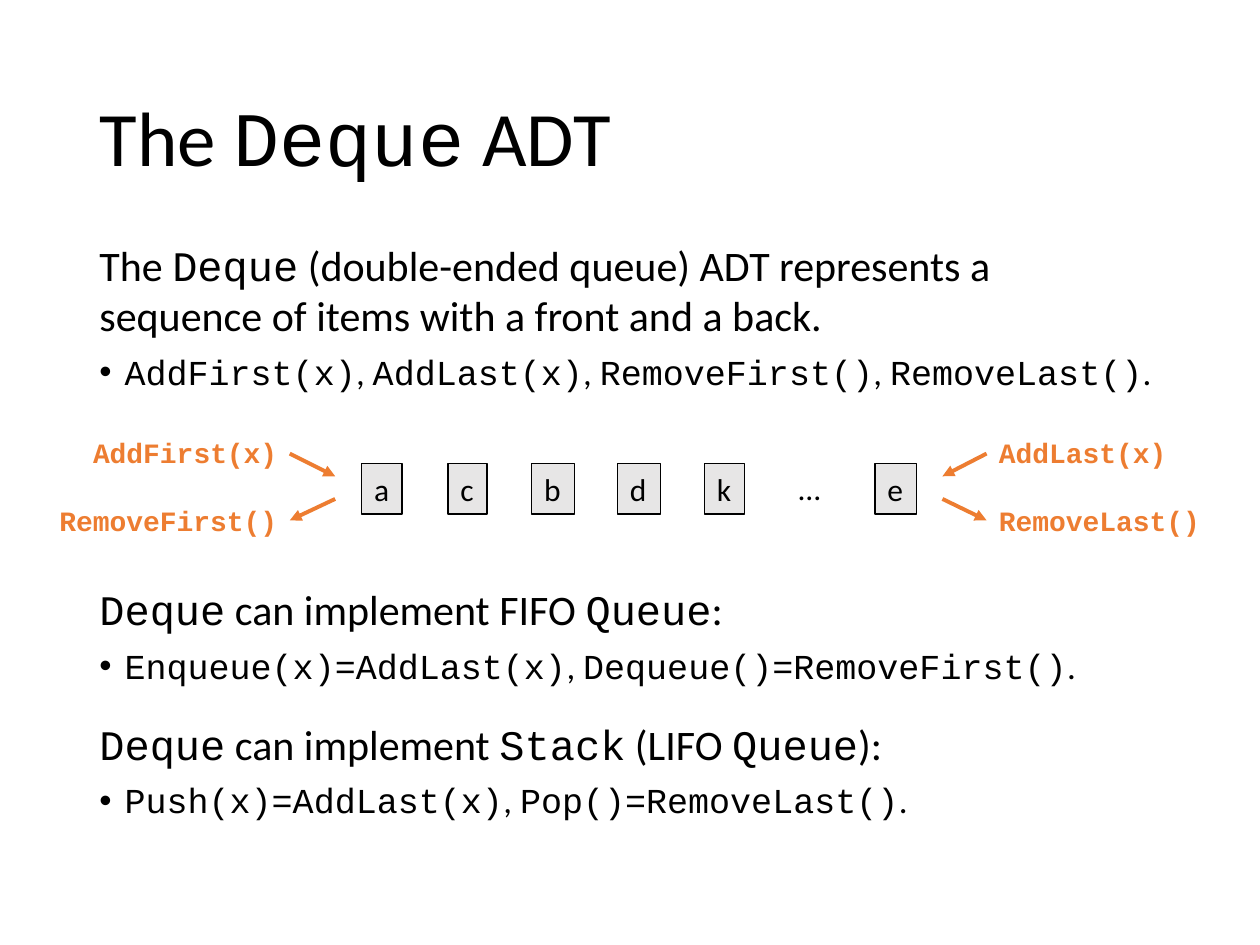
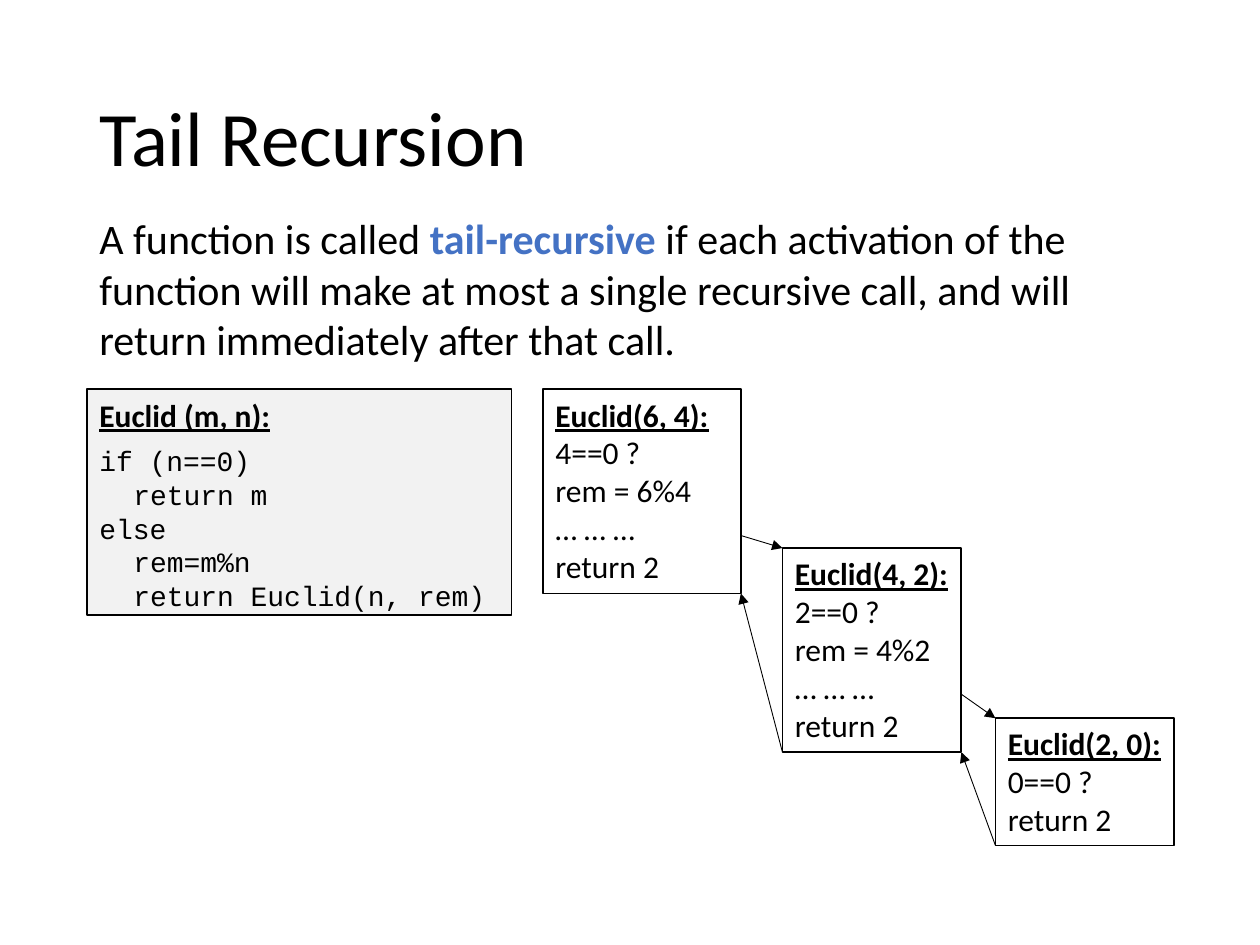
"""Build two lecture slides: the Deque ADT and tail recursion."""
from itertools import pairwise

from lxml.etree import SubElement
from pptx import Presentation
from pptx.dml.color import RGBColor
from pptx.enum.shapes import MSO_CONNECTOR, MSO_SHAPE
from pptx.enum.text import MSO_ANCHOR, MSO_AUTO_SIZE, PP_ALIGN
from pptx.oxml.ns import qn
from pptx.util import Inches, Pt

COLORS = {"ink": "000000", "cell": "E7E6E6", "panel": "F2F2F2",
          "white": "FFFFFF", "orange": "ED7D31", "blue": "4472C4"}
BODY, CODE = "Calibri", "Courier New"
LEFT, WIDE = 0.69, 8.62


def color(name):
    return RGBColor.from_string(COLORS[name])


def style(run, size, font=BODY, ink="ink", bold=False, under=False):
    run.font.size = Pt(size)
    run.font.name = font
    run.font.color.rgb = color(ink)
    run.font.bold = bold
    run.font.underline = under


def write(para, text, size, mark=None, **base):
    """Fill a paragraph; pieces between backticks take the mark style."""
    para.alignment = PP_ALIGN.LEFT
    for i, piece in enumerate(text.split("`")):
        if piece:
            run = para.add_run()
            run.text = piece
            style(run, size, **(mark if i % 2 else base))


def indent(para, left, first=0, bullet=None):
    props = para._p.get_or_add_pPr()
    props.set("marL", str(Inches(left)))
    props.set("indent", str(Inches(first)))
    if bullet:
        SubElement(props, qn("a:buFont")).set("typeface", "Arial")
        SubElement(props, qn("a:buChar")).set("char", bullet)


def add_title(deck, text):
    slide = deck.slides.add_slide(deck.slide_layouts[5])
    title = slide.shapes.title
    title.left, title.top = Inches(LEFT), Inches(0.4)
    title.width, title.height = Inches(WIDE), Inches(1.45)
    frame = title.text_frame
    frame.auto_size = MSO_AUTO_SIZE.NONE
    frame.vertical_anchor = MSO_ANCHOR.MIDDLE
    para = frame.paragraphs[0]
    para.line_spacing = 0.9
    write(para, text, 44, mark={"font": CODE})
    return slide


def add_text(slide, x, y, w, h, wrap=True):
    frame = slide.shapes.add_textbox(*map(Inches, (x, y, w, h))).text_frame
    frame.word_wrap = wrap
    return frame


def add_box(slide, x, y, w, h, fill, weight, wrap=True):
    box = slide.shapes.add_shape(MSO_SHAPE.RECTANGLE, *map(Inches, (x, y, w, h)))
    box.shadow.inherit = False
    box.fill.solid()
    box.fill.fore_color.rgb = color(fill)
    box.line.color.rgb = color("ink")
    box.line.width = Pt(weight)
    frame = box.text_frame
    frame.word_wrap = wrap
    frame.vertical_anchor = MSO_ANCHOR.TOP
    frame.margin_right = Inches(0.05 if wrap else 0.1)
    return frame


def add_arrow(slide, start, end, ink, weight):
    line = slide.shapes.add_connector(MSO_CONNECTOR.STRAIGHT,
                                      *map(Inches, (*start, *end)))
    line.line.color.rgb = color(ink)
    line.line.width = Pt(weight)
    SubElement(line.line._get_or_add_ln(), qn("a:tailEnd")).set("type", "triangle")
    SubElement(line._element.spPr, qn("a:effectLst"))


def add_point(slide, y, h, head, calls):
    """Add a statement with one bulleted line of operations below it."""
    frame = add_text(slide, LEFT, y, WIDE, h)
    para = frame.paragraphs[0]
    para.space_after = Pt(6)
    write(para, head, 24, mark={"font": CODE})
    para = frame.add_paragraph()
    write(para, calls, 20, mark={"font": CODE})
    indent(para, 0.2, -0.2, "•")


def add_cells(slide):
    cells = [("a", 0.32), ("c", 0.31), ("b", 0.34), ("d", 0.34),
             ("k", 0.32), ("…", 0.38), ("e", 0.33)]
    for i, (item, w) in enumerate(cells):
        x = 3.03 + 0.68 * i - w / 2
        if item == "…":
            frame = add_text(slide, x, 3.67, w, 0.4, wrap=False)
        else:
            frame = add_box(slide, x, 3.68, w, 0.4, "cell", 0.75, wrap=False)
        write(frame.paragraphs[0], item, 18)


def add_label(slide, text, x, y, w, align):
    para = add_text(slide, x, y, w, 0.37, wrap=False).paragraphs[0]
    write(para, text, 16, font=CODE, ink="orange", bold=True)
    para.alignment = align


def add_ends(slide):
    """Label both ends of the deque with their operations."""
    ends = [("First", 2.3, 2.66, PP_ALIGN.RIGHT, 1.69, 1.96),
            ("Last", 7.83, 7.48, PP_ALIGN.LEFT, 1.55, 1.82)]
    for end, outer, inner, align, *widths in ends:
        names = (f"Add{end}(x)", f"Remove{end}()")
        for name, y, w in zip(names, (3.41, 3.95), widths):
            x = outer - w if align == PP_ALIGN.RIGHT else outer
            add_label(slide, name, x, y, w, align)
        add_arrow(slide, (outer, 3.6), (inner, 3.78), "orange", 2.25)
        add_arrow(slide, (inner, 3.96), (outer, 4.13), "orange", 2.25)


def add_code(slide):
    frame = add_box(slide, LEFT, 3.09, 3.37, 1.79, "panel", 1)
    para = frame.paragraphs[0]
    para.space_after = Pt(6)
    write(para, "Euclid (m, n):", 18, bold=True, under=True)
    lines = [(0, "if (n==0)"), (1, "return m"), (0, "else"),
             (1, "rem=m%n"), (1, "return Euclid(n, rem)")]
    for depth, text in lines:
        para = frame.add_paragraph()
        write(para, text, 16, font=CODE)
        indent(para, 0.27 * depth)


def add_call(slide, x, y, w, h, head, steps):
    frame = add_box(slide, x, y, w, h, "white", 1)
    write(frame.paragraphs[0], head, 18, bold=True, under=True)
    for step in steps:
        write(frame.add_paragraph(), step, 18)


def add_trace(slide):
    """Draw the chain of activations with call and return arrows."""
    calls = [(4.31, 3.09, 1.57, 1.62, 6, 4), (6.21, 4.35, 1.42, 1.62, 4, 2),
             (7.9, 5.7, 1.42, 1.01, 2, 0)]
    for x, y, w, h, m, n in calls:
        work = [f"rem = {m}%{n}", "… … …"] if n else []
        add_call(slide, x, y, w, h, f"Euclid({m}, {n}):",
                 [f"{n}==0 ?", *work, "return 2"])
    for (x, y, w, h, *_), (left, top, _, high, *_) in pairwise(calls):
        right, base = x + w, y + h
        add_arrow(slide, (right, base - 0.46), (left, top), "ink", 0.5)
        add_arrow(slide, (left, top + high), (right, base), "ink", 0.5)


def build_deque(deck):
    slide = add_title(deck, "The `Deque` ADT")
    add_point(slide, 1.85, 1.33,
              "The `Deque` (double-ended queue) ADT represents a sequence "
              "of items with a front and a back.",
              "`AddFirst(x)`, `AddLast(x)`, `RemoveFirst()`, `RemoveLast()`.")
    add_point(slide, 4.58, 0.93, "`Deque` can implement FIFO `Queue`:",
              "`Enqueue(x)=AddLast(x)`, `Dequeue()=RemoveFirst()`.")
    add_point(slide, 5.65, 0.93, "`Deque` can implement `Stack` (LIFO `Queue`):",
              "`Push(x)=AddLast(x)`, `Pop()=RemoveLast()`.")
    add_cells(slide)
    add_ends(slide)


def build_tail(deck):
    slide = add_title(deck, "Tail Recursion")
    add_code(slide)
    add_trace(slide)
    frame = add_text(slide, LEFT, 1.64, WIDE, 1.31)
    write(frame.paragraphs[0],
          "A function is called `tail-recursive` if each activation of the "
          "function will make at most a single recursive call, and will "
          "return immediately after that call.",
          24, mark={"ink": "blue", "bold": True})


def main():
    deck = Presentation()
    deck.slide_width, deck.slide_height = Inches(10), Inches(7.5)
    build_deque(deck)
    build_tail(deck)
    deck.save("out.pptx")


if __name__ == "__main__":
    main()
